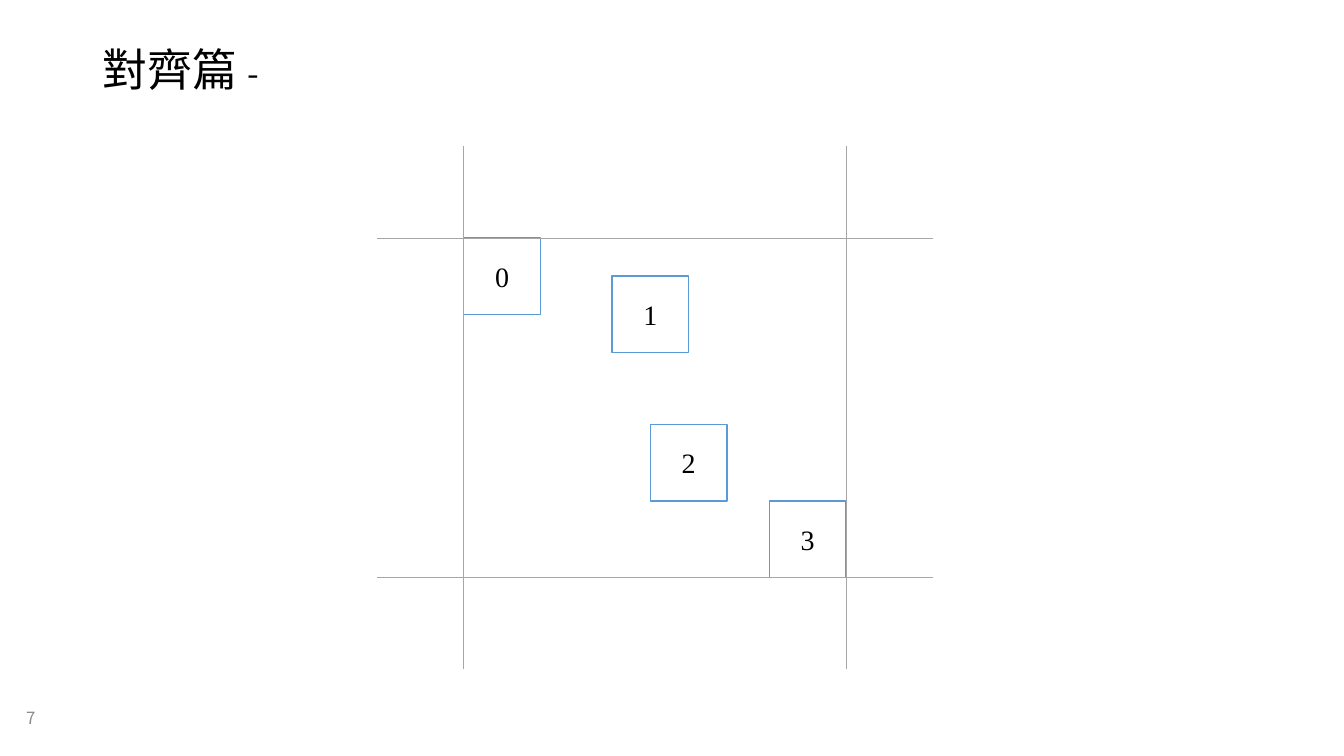
from dataclasses import dataclass

from lxml import etree
from pptx import Presentation
from pptx import util as u
from pptx.dml.color import RGBColor
from pptx.enum import shapes, text
from pptx.oxml.ns import qn

PX = 9144


@dataclass(frozen=True)
class Theme:
    """Colours, fonts and type sizes of the slide."""
    ink: str = "000000"
    paper: str = "FFFFFF"
    box_line: str = "5B9BD5"
    guide: str = "A6A6A6"
    muted: str = "8C8C8C"
    cjk: str = "Noto Sans CJK SC"
    serif: str = "Times New Roman"
    title: int = 32
    subtitle: int = 24
    box: int = 20
    number: int = 12


THEME = Theme()
LEFT, TOP, RIGHT, BOTTOM = 460, 236, 839, 573
OVERHANG_X, OVERHANG_Y = 86, 91
BOX = 76
BOX_CORNERS = [(LEFT, TOP), (607, 274), (645, 421), (RIGHT - BOX, BOTTOM - BOX)]


def px(*lengths):
    """Turn px lengths into EMU."""
    return [u.Emu(length * PX) for length in lengths]


def style_run(r, size, color, font):
    """Set size, colour and both Latin and East Asian typefaces of a run."""
    r.font.size = u.Pt(size)
    r.font.color.rgb = RGBColor.from_string(color)
    r.font.name = font
    latin = r.font._element.find(qn("a:latin"))
    ea = etree.Element(qn("a:ea"), typeface=font)
    latin.addnext(ea)


def add_title(slide, heading, suffix):
    """Place the title with a smaller suffix."""
    sp = slide.shapes.title
    sp.left, sp.top, sp.width, sp.height = px(92, 40, 1150, 62)
    tf = sp.text_frame
    tf.auto_size = text.MSO_AUTO_SIZE.NONE
    tf.vertical_anchor = text.MSO_ANCHOR.MIDDLE
    p = tf.paragraphs[0]
    p.alignment = text.PP_ALIGN.LEFT
    p.line_spacing = 0.9
    for content, size in ((heading, THEME.title), (suffix, THEME.subtitle)):
        r = p.add_run()
        r.text = content
        style_run(r, size, THEME.ink, THEME.cjk)


def add_page_number(slide, number):
    """Write the page number at the lower left."""
    tf = slide.shapes.add_textbox(*px(16, 693, 67, 39)).text_frame
    tf.word_wrap = True
    tf.vertical_anchor = text.MSO_ANCHOR.MIDDLE
    tf.text = number
    style_run(tf.paragraphs[0].runs[0], THEME.number, THEME.muted, THEME.cjk)


def add_box(slide, x, y, label):
    """Draw a numbered square."""
    sp = slide.shapes.add_shape(shapes.MSO_SHAPE.RECTANGLE, *px(x, y, BOX, BOX))
    sp.shadow.inherit = False
    sp.fill.solid()
    sp.fill.fore_color.rgb = RGBColor.from_string(THEME.paper)
    sp.line.color.rgb = RGBColor.from_string(THEME.box_line)
    sp.line.width = u.Pt(1)
    tf = sp.text_frame
    tf.word_wrap = False
    tf.vertical_anchor = text.MSO_ANCHOR.MIDDLE
    tf.text = label
    p = tf.paragraphs[0]
    p.alignment = text.PP_ALIGN.CENTER
    style_run(p.runs[0], THEME.box, THEME.ink, THEME.serif)


def add_guide(slide, x1, y1, x2, y2):
    """Draw a thin alignment guide."""
    line = slide.shapes.add_connector(
        shapes.MSO_CONNECTOR.STRAIGHT, *px(x1, y1, x2, y2))
    line.line.color.rgb = RGBColor.from_string(THEME.guide)
    line.line.width = u.Pt(0.5)
    etree.SubElement(line._element.spPr, qn("a:effectLst"))


def main():
    """Build and save the slide."""
    prs = Presentation()
    prs.slide_width, prs.slide_height = px(1333, 750)
    slide = prs.slides.add_slide(prs.slide_layouts[5])
    add_title(slide, "對齊篇 ", "-")
    add_page_number(slide, "7")
    for i, (x, y) in enumerate(BOX_CORNERS):
        add_box(slide, x, y, str(i))
    for x in (LEFT, RIGHT):
        add_guide(slide, x, TOP - OVERHANG_Y, x, BOTTOM + OVERHANG_Y)
    for y in (BOTTOM, TOP):
        add_guide(slide, LEFT - OVERHANG_X, y, RIGHT + OVERHANG_X, y)
    prs.save("out.pptx")


if __name__ == "__main__":
    main()
